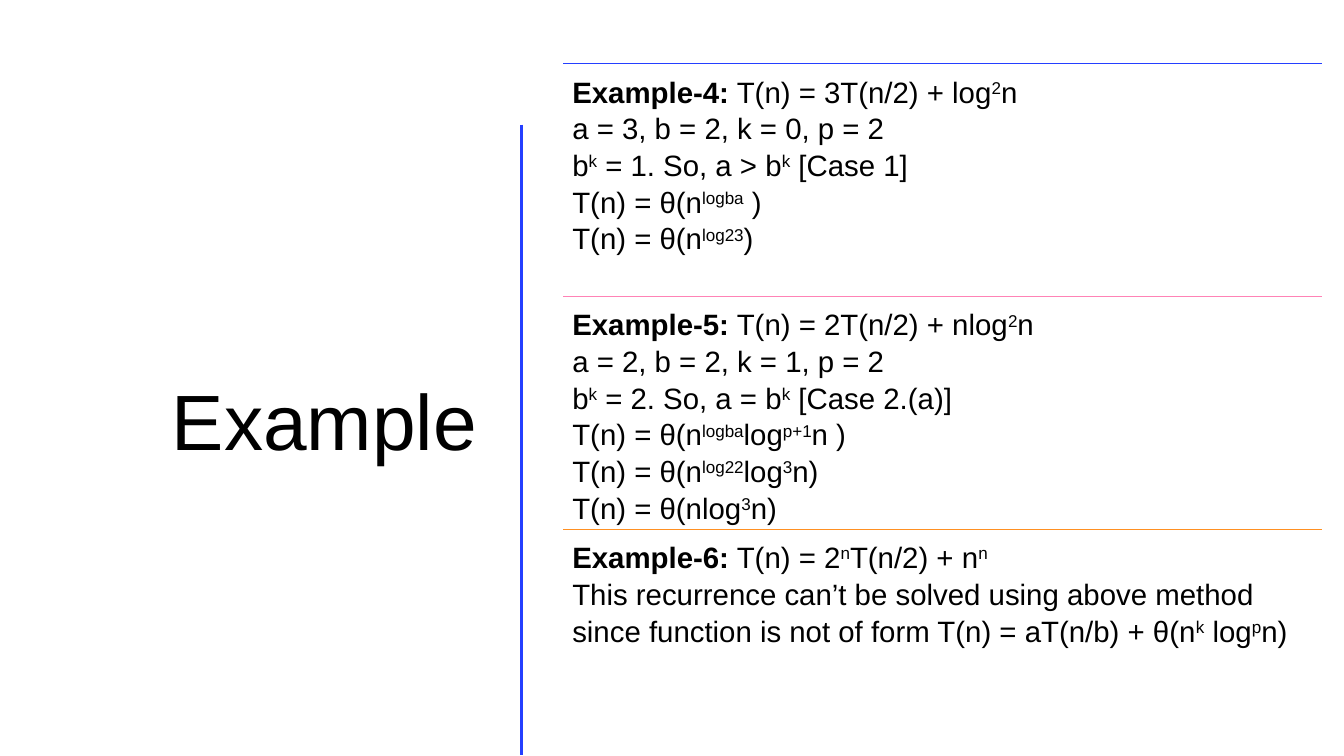
from dataclasses import dataclass

from lxml.etree import SubElement
from pptx import Presentation
from pptx.dml.color import RGBColor as Color
from pptx.enum.shapes import MSO_CONNECTOR as Connector
from pptx.enum.text import MSO_ANCHOR as Anchor, MSO_AUTO_SIZE as AutoSize, PP_ALIGN as Align
from pptx.oxml.ns import qn
from pptx.util import Pt


@dataclass(frozen=True)
class Theme:
    font: str = "Arial"
    title_size: int = 56
    body_size: int = 21
    black: Color = Color(0, 0, 0)
    blue: Color = Color(0x24, 0x3F, 0xFF)
    pink: Color = Color(0xFF, 0x83, 0xB6)
    orange: Color = Color(0xFF, 0x90, 0x22)


theme = Theme()


def style_run(run, size):
    run.font.name = theme.font
    run.font.size = Pt(size)
    run.font.color.rgb = theme.black


def add_rule(slide, x1, y1, x2, y2, color, weight):
    rule = slide.shapes.add_connector(Connector.STRAIGHT, Pt(x1), Pt(y1), Pt(x2), Pt(y2))
    rule.line.color.rgb = color
    rule.line.width = Pt(weight)
    SubElement(rule._element.spPr, qn("a:effectLst"))


presentation = Presentation()
presentation.slide_width = Pt(960)
presentation.slide_height = Pt(540)
slide = presentation.slides.add_slide(presentation.slide_layouts[5])

# Title
title = slide.shapes.title
title.left, title.top, title.width, title.height = Pt(37.5), Pt(84), Pt(310.5), Pt(440)
title.text_frame.text = "Example"
title.text_frame.auto_size = AutoSize.NONE
title.text_frame.vertical_anchor = Anchor.MIDDLE
title_paragraph = title.text_frame.paragraphs[0]
title_paragraph.alignment = Align.RIGHT
title_paragraph.line_spacing = 0.9
style_run(title_paragraph.runs[0], theme.title_size)

# Divider between title and examples
add_rule(slide, 372.5, 89, 372.5, 539.5, theme.blue, 2)

# Examples: heading, rule colour, lines with superscripts between carets
examples = [
    ("Example-4:", theme.blue, [
        " T(n) = 3T(n/2) + log^2^n",
        "a = 3, b = 2, k = 0, p = 2",
        "b^k^ = 1. So, a > b^k^ [Case 1]",
        "T(n) = θ(n^logba^ )",
        "T(n) = θ(n^log23^)",
    ]),
    ("Example-5:", theme.pink, [
        " T(n) = 2T(n/2) + nlog^2^n",
        "a = 2, b = 2, k = 1, p = 2",
        "b^k^ = 2. So, a = b^k^ [Case 2.(a)]",
        "T(n) = θ(n^logba^log^p+1^n )",
        "T(n) = θ(n^log22^log^3^n)",
        "T(n) = θ(nlog^3^n)",
    ]),
    ("Example-6:", theme.orange, [
        " T(n) = 2^n^T(n/2) + n^n^",
        "This recurrence can’t be solved using above method since function "
        "is not of form T(n) = aT(n/b) + θ(n^k^ log^p^n)",
    ]),
]
left, top, width, row_height, inset = 402.5, 45.4, 541.5, 166.3, 6.3

for row, (heading, color, lines) in enumerate(examples):
    row_top = top + row * row_height
    add_rule(slide, left, row_top, left + width, row_top, color, 1)

    box = slide.shapes.add_textbox(Pt(left), Pt(row_top), Pt(width), Pt(row_height))
    frame = box.text_frame
    frame.word_wrap = True
    frame.margin_left = frame.margin_right = Pt(inset)
    frame.margin_top = frame.margin_bottom = Pt(inset)
    paragraph = frame.paragraphs[0]
    paragraph.line_spacing = 1.04
    paragraph.text = heading
    paragraph.runs[0].font.bold = True
    style_run(paragraph.runs[0], theme.body_size)

    for number, line in enumerate(lines):
        if number:
            paragraph.add_line_break()
        for position, piece in enumerate(line.split("^")):
            if not piece:
                continue
            run = paragraph.add_run()
            run.text = piece
            style_run(run, theme.body_size)
            if position % 2:
                run.font._element.set("baseline", "30000")

presentation.save("out.pptx")
